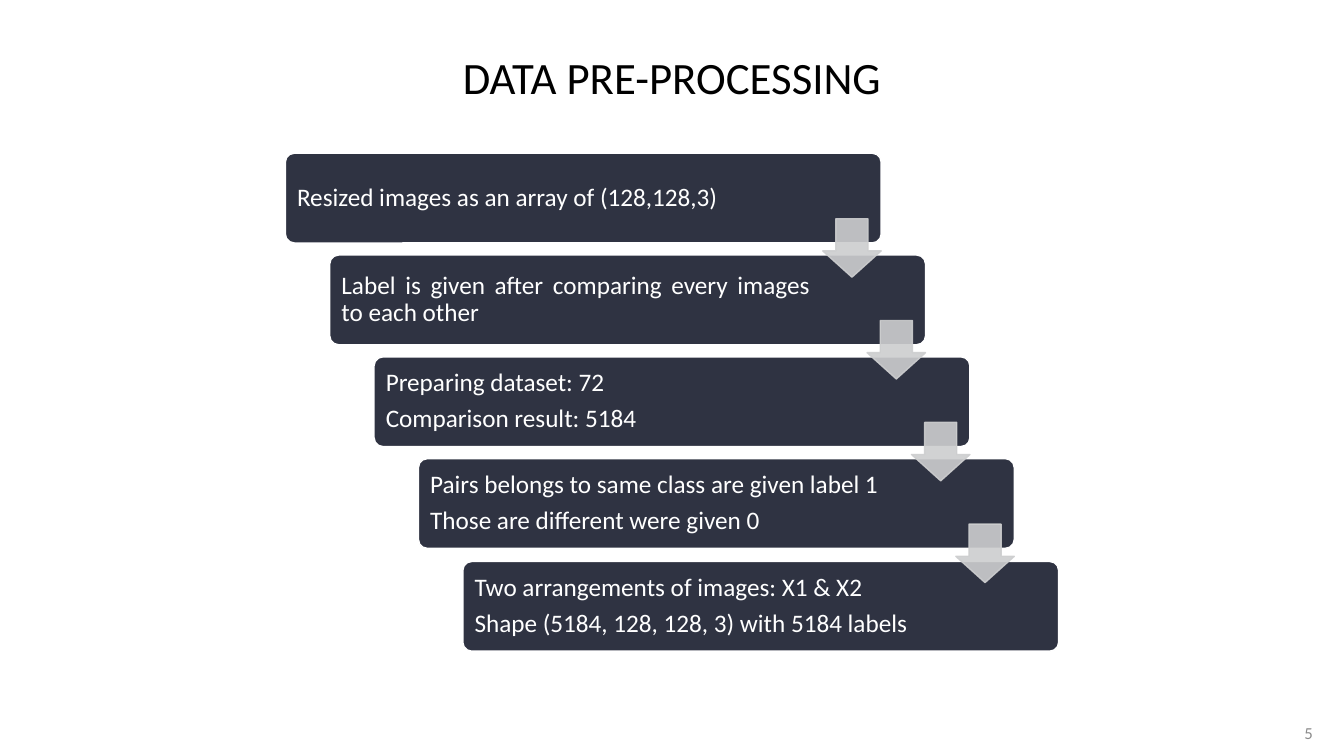
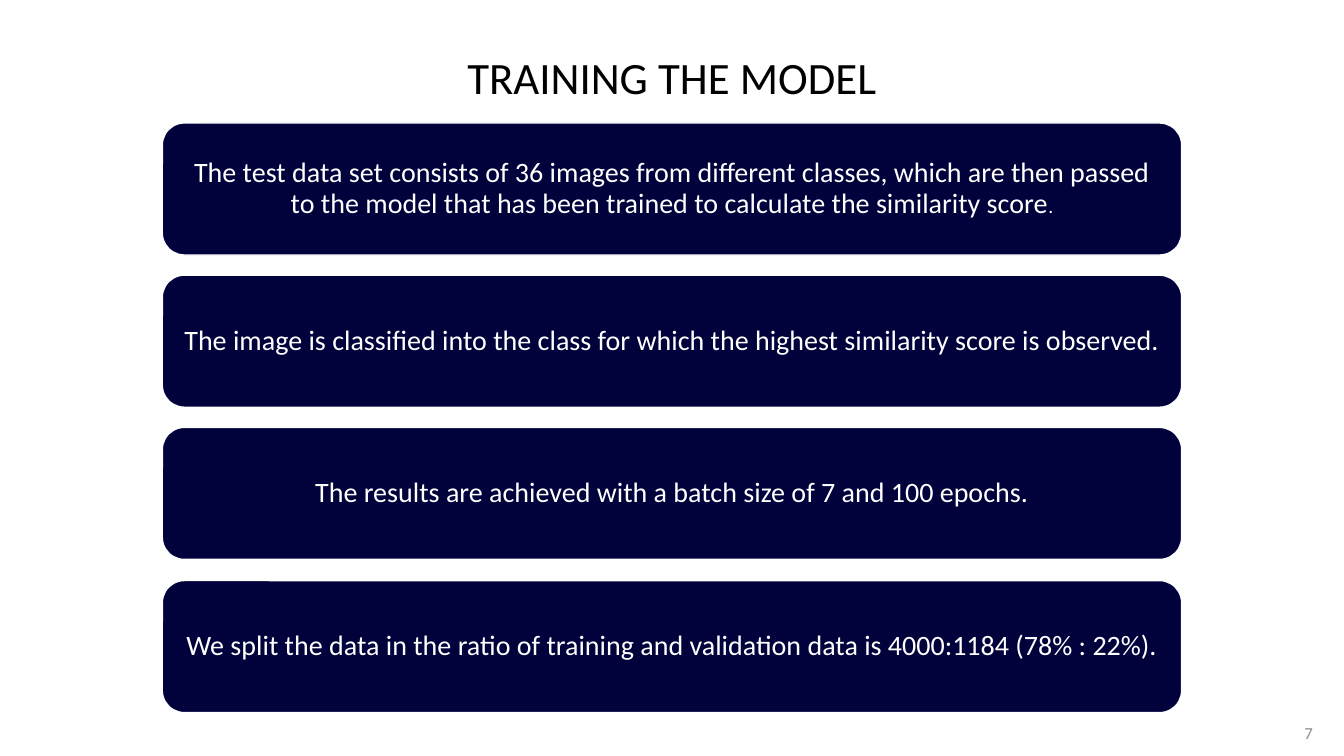
import pptx
import pptx.util
import pptx.dml.color
import pptx.enum.shapes
import pptx.enum.text
import lxml.etree

SHAPE = pptx.enum.shapes.MSO_SHAPE
ALIGN = pptx.enum.text.PP_ALIGN
ANCHOR = pptx.enum.text.MSO_ANCHOR

# Content
STEPS_TITLE, STEPS_NUMBER = "DATA PRE-PROCESSING", 5
STEPS = [
    (ALIGN.JUSTIFY, ["Resized images as an array of (128,128,3)"]),
    (ALIGN.JUSTIFY, ["Label is given after comparing every images to each other"]),
    (ALIGN.JUSTIFY, ["Preparing dataset: 72", "Comparison result: 5184"]),
    (ALIGN.LEFT, ["Pairs belongs to same class are given label 1",
                  "Those are different were given 0"]),
    (ALIGN.LEFT, ["Two arrangements of images: X1 & X2",
                  "Shape (5184, 128, 128, 3) with 5184 labels"]),
]
CARDS_TITLE, CARDS_NUMBER = "TRAINING THE MODEL", 7
CARDS = [
    ("The test data set consists of 36 images from different classes, which are then "
     "passed to the model that has been trained to calculate the similarity score", "."),
    ("The image is classified into the class for which the highest similarity score "
     "is observed.", ""),
    ("The results are achieved with a batch size of 7 and 100 epochs.", ""),
    ("We split the data in the ratio of training and validation data is 4000:1184 "
     "(78% : 22%).", ""),
]

# Shared look
FONT = "Calibri"
WHITE, BLACK, GREY = "FFFFFF", "000000", "8C8C8C"
STEP_FILL, CARD_FILL, ARROW_FILL = "2F3342", "01023B", "CDCECF"


def px(length):
    return pptx.util.Emu(length * 9144)


def color(value):
    return pptx.dml.color.RGBColor.from_string(value)


def spread(first, last, count):
    return [first + (last - first) * i // (count - 1) for i in range(count)]


def add_panel(page, kind, at, fill, line, adjustments):
    panel = page.shapes.add_shape(kind, *map(px, at))
    panel.shadow.inherit = False
    panel.fill.solid()
    panel.fill.fore_color.rgb = color(fill)
    panel.line.color.rgb = color(line)
    panel.line.width = pptx.util.Pt(1)
    for i, value in enumerate(adjustments):
        panel.adjustments[i] = value
    return panel


def write(box, lines, size, ink, align, anchor, margins, spacing=1.0, after=0):
    frame = box.text_frame
    frame.word_wrap = True
    frame.vertical_anchor = anchor
    (frame.margin_left, frame.margin_top,
     frame.margin_right, frame.margin_bottom) = map(px, margins)
    frame.text = "\n".join(lines)
    for para in frame.paragraphs:
        para.alignment = align
        para.line_spacing = spacing
        para.space_after = pptx.util.Pt(after)
        para.font.name = FONT
        para.font.size = pptx.util.Pt(size)
        para.font.color.rgb = color(ink)
    return frame


def add_page(deck, title, number):
    page = deck.slides.add_slide(deck.slide_layouts[6])
    heading = page.shapes.add_textbox(*map(px, (344, 18, 645, 97)))
    write(heading, [title], 32, BLACK, ALIGN.CENTER, ANCHOR.TOP, (10, 5, 10, 5), 1.5)
    footer = page.shapes.add_textbox(*map(px, (1263, 707, 49, 40)))
    write(footer, [str(number)], 12, GREY, ALIGN.RIGHT, ANCHOR.MIDDLE, (10, 5, 10, 5))
    return page


def make_translucent(shape, percent):
    for node in shape.fill._xPr.iter(pptx.oxml.ns.qn("a:srgbClr")):
        alpha = lxml.etree.SubElement(node, pptx.oxml.ns.qn("a:alpha"))
        alpha.set("val", str(percent * 1000))


def add_steps(page):
    corners = list(zip(spread(283, 459, len(STEPS)), spread(152, 557, len(STEPS))))
    for (left, top), (align, lines) in zip(corners, STEPS):
        step = add_panel(page, SHAPE.ROUNDED_RECTANGLE, (left, top, 591, 89),
                         STEP_FILL, WHITE, [0.1])
        write(step, lines, 18, WHITE, align, ANCHOR.MIDDLE, (9, 9, 112, 9), 0.9, 6.3)
    # Arrows lie over the steps they link
    for left, top in corners[:-1]:
        arrow = add_panel(page, SHAPE.DOWN_ARROW, (left + 533, top + 65, 58, 58),
                          ARROW_FILL, ARROW_FILL, [0.55, 0.45])
        make_translucent(arrow, 90)


def add_cards(page):
    for top, (text, ending) in zip(spread(122, 576, len(CARDS)), CARDS):
        card = add_panel(page, SHAPE.ROUNDED_RECTANGLE, (161, top, 1011, 131),
                         CARD_FILL, WHITE, [])
        frame = write(card, [text], 20, WHITE, ALIGN.CENTER, ANCHOR.MIDDLE,
                      (14, 14, 14, 14), 0.9)
        if ending:
            span = frame.paragraphs[0].add_run()
            span.text = ending
            span.font.size = pptx.util.Pt(14)


def main():
    deck = pptx.Presentation()
    deck.slide_width, deck.slide_height = px(1333), px(750)
    add_steps(add_page(deck, STEPS_TITLE, STEPS_NUMBER))
    add_cards(add_page(deck, CARDS_TITLE, CARDS_NUMBER))
    deck.save("out.pptx")


if __name__ == "__main__":
    main()
